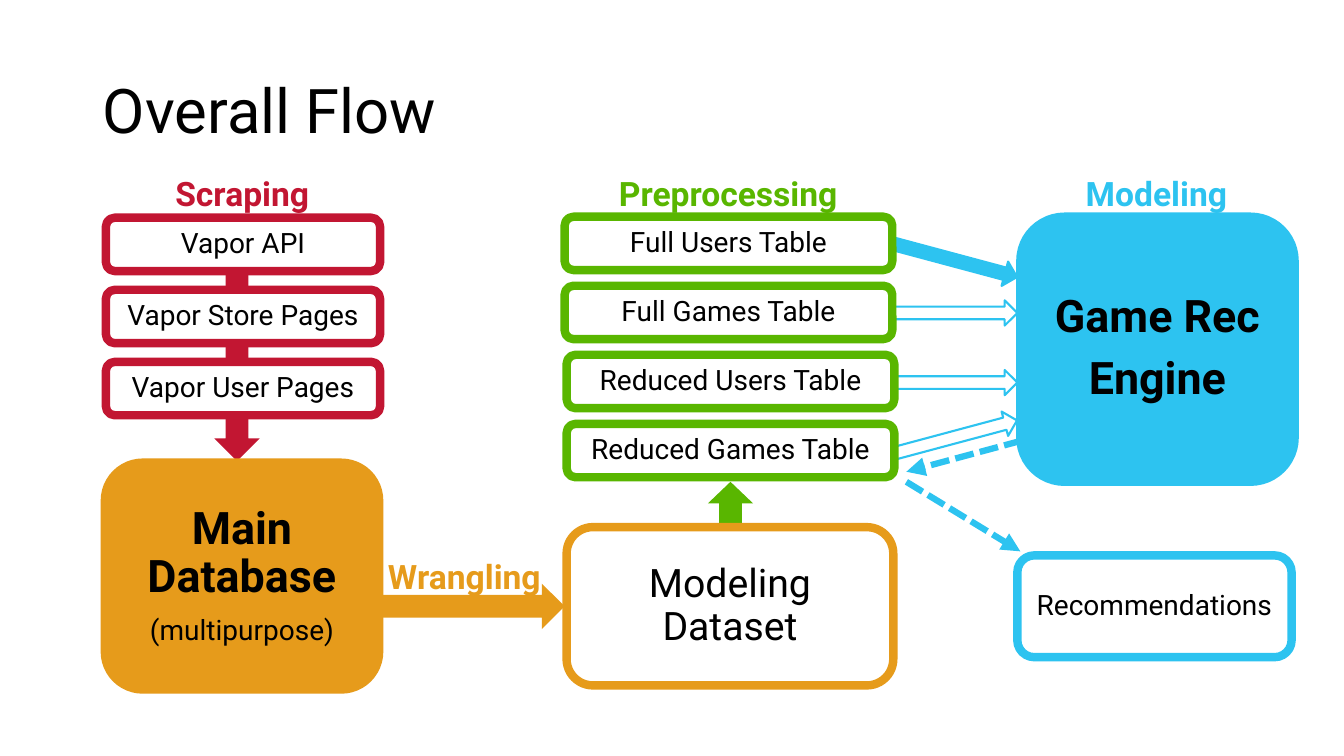
from lxml import etree
from pptx import Presentation
from pptx.dml.color import RGBColor
from pptx.enum.dml import MSO_LINE
from pptx.enum.shapes import MSO_CONNECTOR, MSO_SHAPE
from pptx.enum.text import MSO_ANCHOR, MSO_AUTO_SIZE, PP_ALIGN
from pptx.oxml.ns import qn
from pptx.util import Inches, Pt

ROUNDED = MSO_SHAPE.ROUNDED_RECTANGLE
ARROW = MSO_SHAPE.RIGHT_ARROW
STRAIGHT = MSO_CONNECTOR.STRAIGHT
DASH = MSO_LINE.SQUARE_DOT
MIDDLE = MSO_ANCHOR.MIDDLE
CENTER = PP_ALIGN.CENTER
LEFT = PP_ALIGN.LEFT
GROW = MSO_AUTO_SIZE.SHAPE_TO_FIT_TEXT

FONT = "Roboto"
BLACK = RGBColor(0x00, 0x00, 0x00)
WHITE = RGBColor(0xFF, 0xFF, 0xFF)
RED = RGBColor(0xC2, 0x16, 0x32)
ORANGE = RGBColor(0xE6, 0x9B, 0x1B)
GREEN = RGBColor(0x59, 0xB6, 0x00)
BLUE = RGBColor(0x2D, 0xC3, 0xF0)

TITLE = "Overall Flow"
ROW_HEIGHT = 0.53
SOURCES = ["Vapor API", "Vapor Store Pages", "Vapor User Pages"]
SOURCE_TOP, SOURCE_STEP = 2.16, 0.715
TABLES = [
    ("Full Users Table", 5.6),
    ("Full Games Table", 5.6),
    ("Reduced Users Table", 5.62),
    ("Reduced Games Table", 5.62),
]
TABLE_TOP, TABLE_STEP = 2.15, 0.685

STAGES = [
    ((1.04, 4.59, 2.72, 2.25), ORANGE, ORANGE,
     [("Main Database", 32, True), ("(multipurpose)", 20, False)]),
    ((5.62, 5.23, 3.24, 1.57), WHITE, ORANGE, [("Modeling Dataset", 28, False)]),
    ((10.12, 2.15, 2.72, 2.63), BLUE, BLUE,
     [("Game Rec", 32, True), ("Engine", 32, True)]),
    ((10.09, 5.51, 2.72, 1.01), None, BLUE, [("Recommendations", 20, False)]),
]
LABELS = [
    ("Scraping", (1.64, 1.67, 1.55, 0.5), RED),
    ("Wrangling", (3.75, 5.47, 1.74, 0.5), ORANGE),
    ("Preprocessing", (6.04, 1.67, 2.4, 0.5), GREEN),
    ("Modeling", (10.67, 1.67, 1.62, 0.5), BLUE),
]
MODEL_ARROWS = [
    ((8.77, 2.45, 1.34, 0.25), 15, BLUE),
    ((8.85, 2.98, 1.24, 0.25), 0, None),
    ((8.85, 3.67, 1.24, 0.25), 0, None),
    ((8.77, 4.22, 1.34, 0.25), 345, WHITE),
]
SCRAPING_ARROW = ((1.41, 3.41, 1.88, 0.45), 90, RED)
PREPROCESSING_ARROW = ((7.03, 4.77, 0.43, 0.45), 270, GREEN)
WRANGLING_ARROW = ((3.7, 5.79, 1.9, 0.45), 0, ORANGE)
RESULT_LINE = ((8.99, 4.78), (10.12, 5.47))
RETURN_LINE = ((10.14, 4.37), (8.99, 4.68))

deck = Presentation()
deck.slide_width, deck.slide_height = Inches(13.33), Inches(7.5)
page = deck.slides.add_slide(deck.slide_layouts[5])


def inches(values):
    return [Inches(value) for value in values]


def style(para, size, color, bold=False):
    for span in para.runs:
        span.font.name = FONT
        span.font.size = Pt(size)
        span.font.bold = bold
        span.font.color.rgb = color


def add_filled(kind, area, fill):
    shape = page.shapes.add_shape(kind, *inches(area))
    shape.shadow.inherit = False
    if fill is None:
        shape.fill.background()
    else:
        shape.fill.solid()
        shape.fill.fore_color.rgb = fill
    return shape


def add_box(area, fill, border, lines):
    box = add_filled(ROUNDED, area, fill)
    box.line.color.rgb = border
    box.line.width = Pt(6)
    frame = box.text_frame
    frame.word_wrap = True
    frame.vertical_anchor = MIDDLE
    frame.text = "\n".join(text for text, size, bold in lines)
    for para, (text, size, bold) in zip(frame.paragraphs, lines):
        para.alignment = CENTER
        para.line_spacing = 0.9
        para.space_before = Pt(10)
        style(para, size, BLACK, bold)


def add_arrow(area, rotation, fill, border=None):
    arrow = add_filled(ARROW, area, fill)
    arrow.rotation = rotation
    if border is None:
        arrow.line.fill.background()
    else:
        arrow.line.color.rgb = border
        arrow.line.width = Pt(1.5)


def add_dashed(start, end):
    line = page.shapes.add_connector(STRAIGHT, *inches(start + end))
    line.line.color.rgb = BLUE
    line.line.width = Pt(4.5)
    line.line.dash_style = DASH
    properties = line._element.spPr
    outline = properties.find(qn("a:ln"))
    etree.SubElement(outline, qn("a:tailEnd"), type="triangle")
    etree.SubElement(properties, qn("a:effectLst"))


title = page.shapes.title
title.left, title.top, title.width, title.height = inches((0.92, 0.4, 11.5, 1.45))
title.text_frame.text = TITLE
title.text_frame.vertical_anchor = MIDDLE
heading = title.text_frame.paragraphs[0]
heading.alignment = LEFT
heading.line_spacing = 0.9
style(heading, 44, BLACK)

add_dashed(*RESULT_LINE)
for area, rotation, fill in MODEL_ARROWS:
    add_arrow(area, rotation, fill, BLUE)
add_arrow(*SCRAPING_ARROW)
add_arrow(*PREPROCESSING_ARROW)

for row, source in enumerate(SOURCES):
    area = (1.05, SOURCE_TOP + row * SOURCE_STEP, 2.72, ROW_HEIGHT)
    add_box(area, WHITE, RED, [(source, 20, False)])
for row, (table, left) in enumerate(TABLES):
    area = (left, TABLE_TOP + row * TABLE_STEP, 3.25, ROW_HEIGHT)
    add_box(area, WHITE, GREEN, [(table, 20, False)])
for stage in STAGES:
    add_box(*stage)
add_arrow(*WRANGLING_ARROW)

for text, area, color in LABELS:
    label = page.shapes.add_textbox(*inches(area))
    label.text_frame.word_wrap = False
    label.text_frame.auto_size = GROW
    label.text_frame.text = text
    style(label.text_frame.paragraphs[0], 24, color, True)

add_dashed(*RETURN_LINE)

deck.save("out.pptx")
